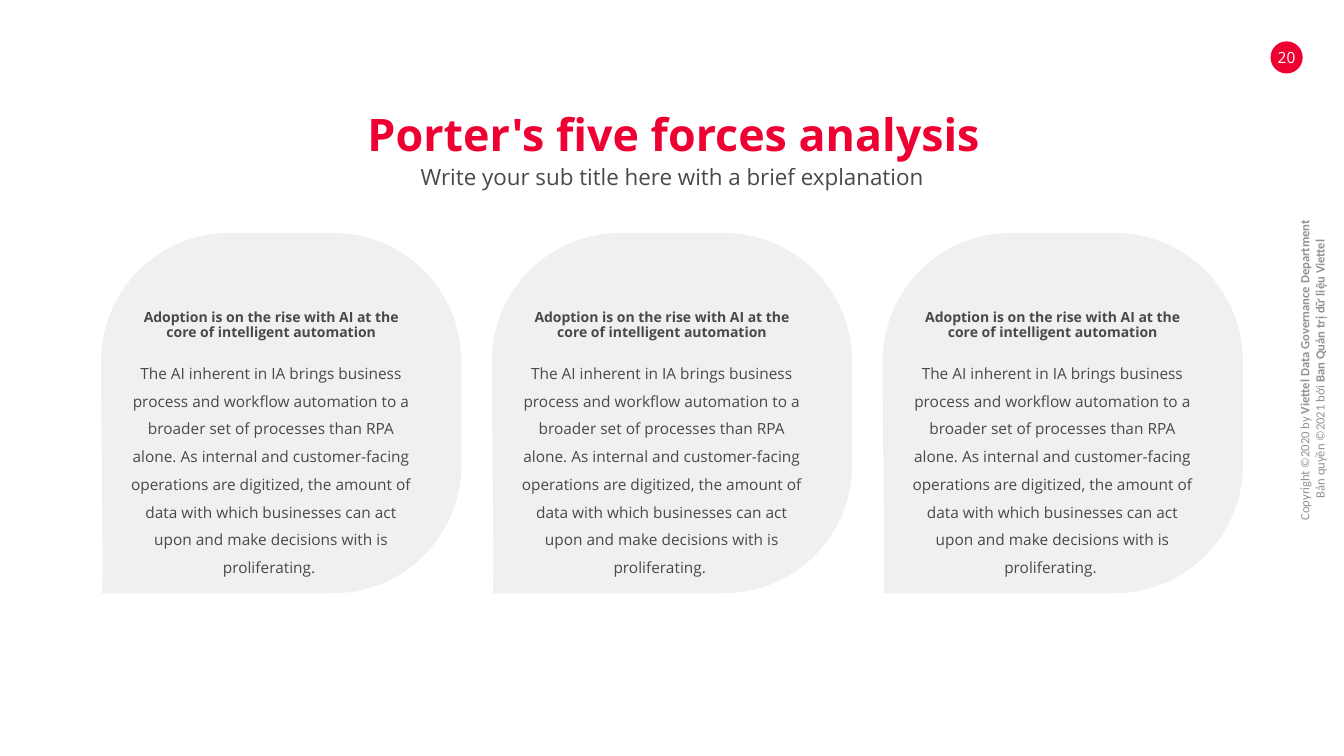
from lxml import etree
from pptx import Presentation
from pptx.dml.color import RGBColor
from pptx.enum.shapes import MSO_SHAPE
from pptx.enum.text import MSO_ANCHOR, PP_ALIGN
from pptx.oxml.ns import qn
from pptx.util import Pt

OVAL = MSO_SHAPE.OVAL
TOP, MIDDLE = MSO_ANCHOR.TOP, MSO_ANCHOR.MIDDLE
CENTER = PP_ALIGN.CENTER
COLORS = {"red": "EE0033", "dark": "494949", "gray": "929292",
          "card": "F0F0F0", "white": "FFFFFF"}
HEAD = "Adoption is on the rise with AI at the core of intelligent automation"
BODY = ("The AI inherent in IA brings business process and workflow automation "
        "to a broader set of processes than RPA alone. As internal and "
        "customer-facing operations are digitized, the amount of data with "
        "which businesses can act upon and make decisions with is proliferating. ")
RIGHTS = [("Copyright ©2020 by ", "Viettel Data Governance Department "),
          ("Bản quyền ©2021 bởi ", "Ban Quản trị dữ liệu Viettel")]
LEFT, PITCH = 72.2, 279.1
SIDE, NEAR, FAR = 257.4, 92, 165.4
PULL = 41
LEAF = [
    [(0, NEAR), (0, PULL), (PULL, 0), (NEAR, 0)],
    [(FAR, 0), (SIDE - PULL, 0), (SIDE, PULL), (SIDE, NEAR)],
    [(SIDE, FAR), (SIDE, SIDE - PULL), (SIDE - PULL, SIDE), (FAR, SIDE)],
    [(0.6, SIDE), (2, 256), (0, 134.5), (0, NEAR)],
]


def color(name):
    return RGBColor.from_string(COLORS[name])


def bend(line, arc):
    line.tag = qn("a:cubicBezTo")
    line.clear()
    for x, y in arc[1:]:
        etree.SubElement(line, qn("a:pt"), x=str(Pt(x)), y=str(Pt(y)))


def write(para, text, size=11, font="Open Sans", tint="dark", bold=False,
          line=None, before=None):
    para.alignment = CENTER
    if line:
        para.line_spacing = line
    if before:
        para.space_before = Pt(before)
    run = para.add_run()
    run.text = text
    run.font.size = Pt(size)
    run.font.name = font
    run.font.bold = bold
    run.font.color.rgb = color(tint)


class Page:
    def __init__(self, deck):
        self.shapes = deck.slides.add_slide(deck.slide_layouts[6]).shapes

    def paint(self, shape, tint):
        shape.shadow.inherit = False
        shape.fill.solid()
        shape.fill.fore_color.rgb = color(tint)
        shape.line.fill.background()

    def oval(self, x, y, w, h, tint):
        self.paint(self.shapes.add_shape(OVAL, Pt(x), Pt(y), Pt(w), Pt(h)), tint)

    def leaf(self, x, y, tint):
        dots = [(Pt(x + a), Pt(y + b))
                for arc in LEAF for a, b in (arc[0], arc[-1])]
        form = self.shapes.build_freeform(*dots[0])
        form.add_line_segments(dots[1:], close=True)
        shape = form.convert_to_shape()
        lines = list(shape.element.iter(qn("a:lnTo")))
        for line, arc in zip(lines[::2], LEAF):
            new = etree.Element(qn("a:cubicBezTo"))
            bend(new, arc)
            line.getparent().replace(line, new)
        self.paint(shape, tint)

    def box(self, x, y, w, h, pad=(0, 0, 0, 0), anchor=TOP, turn=0):
        shape = self.shapes.add_textbox(Pt(x), Pt(y), Pt(w), Pt(h))
        shape.rotation = turn
        frame = shape.text_frame
        frame.word_wrap = True
        frame.vertical_anchor = anchor
        frame.margin_left, frame.margin_top = Pt(pad[0]), Pt(pad[1])
        frame.margin_right, frame.margin_bottom = Pt(pad[2]), Pt(pad[3])
        return frame

    def card(self, x, y):
        self.leaf(x, y, "card")
        frame = self.box(x + 12, y - 31, 219, 257, (7.2, 86.4, 7.2, 17.3))
        write(frame.paragraphs[0], HEAD, size=10, bold=True, line=0.9)
        write(frame.add_paragraph(), BODY, line=1.5, before=10)


def main():
    deck = Presentation()
    deck.slide_width, deck.slide_height = Pt(960), Pt(540)
    page = Page(deck)

    rights = page.box(771.2, 249.1, 332, 28.8, (7.2, 3.6, 7.2, 3.6), turn=270)
    for i, (lead, owner) in enumerate(RIGHTS):
        para = rights.add_paragraph() if i else rights.paragraphs[0]
        write(para, lead, size=9, font="Calibri", tint="gray")
        write(para, owner, size=9, font="Calibri", tint="gray", bold=True)

    page.oval(907.5, 29.5, 23, 23, "red")
    number = page.box(904.6, 34.2, 28.8, 13.7, anchor=MIDDLE)
    write(number.paragraphs[0], "20", tint="white")

    for i in range(3):
        page.card(LEFT + i * PITCH, 166.4)

    title = page.box(196.6, 74.2, 569.5, 42.5, (2.2,) * 4, MIDDLE)
    write(title.paragraphs[0], "Porter's five forces analysis",
          size=32, tint="red", bold=True)
    sub = page.box(52.4, 116.4, 855.4, 19.4)
    write(sub.paragraphs[0], "Write your sub title here with a brief explanation",
          size=16)
    deck.save("out.pptx")


if __name__ == "__main__":
    main()
